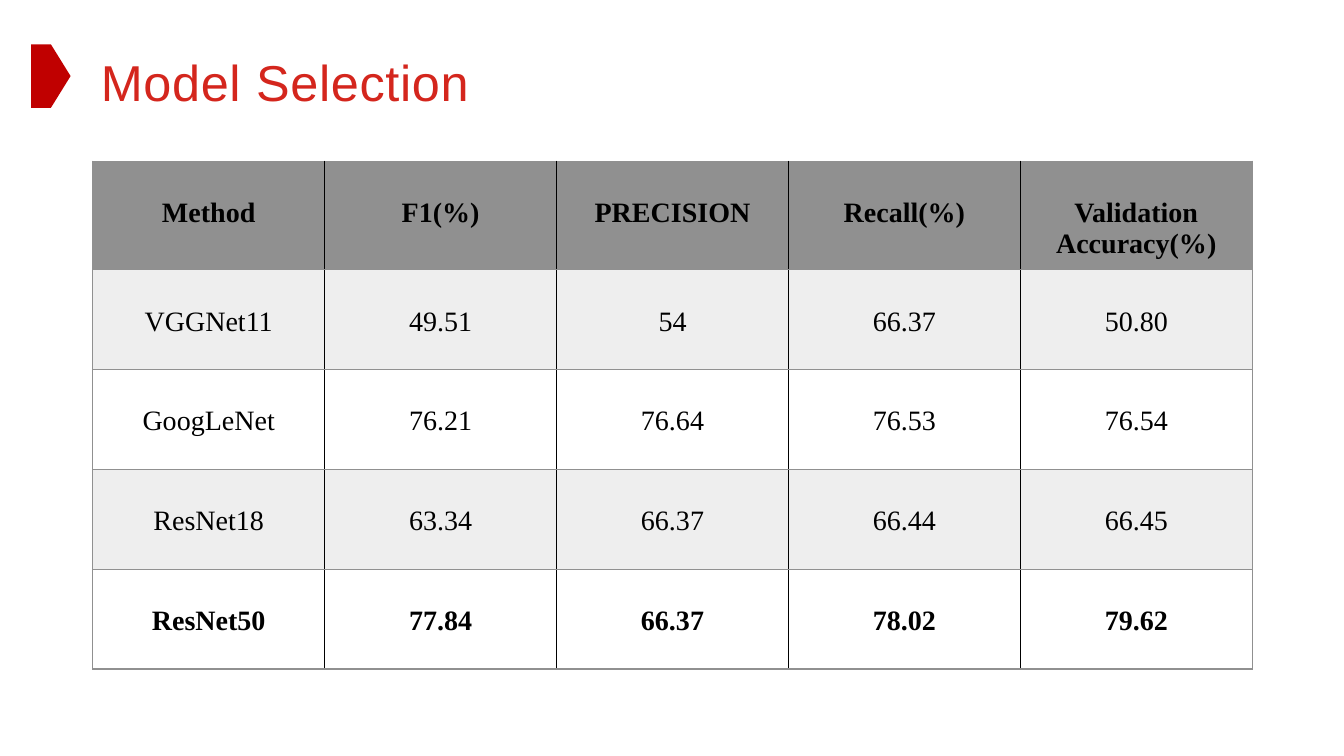
from lxml import etree
from pptx import Presentation
from pptx import util as u
from pptx.dml.color import RGBColor
from pptx.enum import shapes, text
from pptx.oxml import ns

BLACK = RGBColor(0x00, 0x00, 0x00)
WHITE = RGBColor(0xFF, 0xFF, 0xFF)
GREY = RGBColor(0x90, 0x90, 0x90)
PALE = RGBColor(0xEE, 0xEE, 0xEE)
RED = RGBColor(0xD4, 0x26, 0x1D)
DARK_RED = RGBColor(0xC0, 0x00, 0x00)

RESULTS = [
    ["Method", "F1(%)", "PRECISION", "Recall(%)", "Validation Accuracy(%)"],
    ["VGGNet11", "49.51", "54", "66.37", "50.80"],
    ["GoogLeNet", "76.21", "76.64", "76.53", "76.54"],
    ["ResNet18", "63.34", "66.37", "66.44", "66.45"],
    ["ResNet50", "77.84", "66.37", "78.02", "79.62"],
]
ROWS, COLUMNS = len(RESULTS), len(RESULTS[0])
LEFT, COLUMN_WIDTH, ROW_HEIGHT = 0.92, 2.3, 0.99


def write(frame, content, font="Times New Roman", size=20, color=BLACK,
          bold=False, align=text.PP_ALIGN.CENTER):
    frame.word_wrap = True
    paragraph = frame.paragraphs[0]
    paragraph.alignment = align
    run = paragraph.add_run()
    run.text = content
    run.font.name = font
    run.font.size = u.Pt(size)
    run.font.bold = bold
    run.font.color.rgb = color
    return paragraph


def add_border(cell, side, color):
    line = etree.SubElement(cell._tc.get_or_add_tcPr(), ns.qn("a:ln" + side), w=str(u.Pt(1)))
    fill = etree.SubElement(line, ns.qn("a:solidFill"))
    etree.SubElement(fill, ns.qn("a:srgbClr"), val=str(color))


presentation = Presentation()
presentation.slide_width = u.Inches(13.33)
presentation.slide_height = u.Inches(7.5)
slide = presentation.slides.add_slide(presentation.slide_layouts[6])

title = slide.shapes.add_textbox(u.Inches(LEFT), u.Inches(0.21), u.Inches(12), u.Inches(1.36))
frame = title.text_frame
frame.vertical_anchor = text.MSO_ANCHOR.MIDDLE
frame.margin_left = frame.margin_right = u.Inches(0.08)
frame.margin_top, frame.margin_bottom = u.Inches(0.04), u.Inches(0.12)
paragraph = write(frame, "Model Selection", font="Arial", size=36, color=RED,
                  align=text.PP_ALIGN.LEFT)
paragraph.line_spacing = 0.9
paragraph.space_after = u.Pt(8)
paragraph.runs[0].font._element.set("spc", "50")

marker = slide.shapes.add_shape(shapes.MSO_SHAPE.PENTAGON, u.Inches(0.31), u.Inches(0.44),
                                u.Inches(0.39), u.Inches(0.63))
marker.shadow.inherit = False
marker.fill.solid()
marker.fill.fore_color.rgb = DARK_RED
marker.line.fill.background()

table = slide.shapes.add_table(ROWS, COLUMNS, u.Inches(LEFT), u.Inches(1.6),
                               u.Inches(COLUMNS * COLUMN_WIDTH),
                               u.Inches(ROWS * ROW_HEIGHT)).table
for column in table.columns:
    column.width = u.Inches(COLUMN_WIDTH)
for row_index, values in enumerate(RESULTS):
    table.rows[row_index].height = u.Inches(ROW_HEIGHT)
    for column_index, value in enumerate(values):
        cell = table.cell(row_index, column_index)
        cell.margin_top = u.Inches(0.36)
        cell.margin_bottom = u.Inches(0.05)
        write(cell.text_frame, value, bold=row_index in (0, ROWS - 1))
        add_border(cell, "L", GREY if column_index == 0 else BLACK)
        add_border(cell, "R", GREY if column_index == COLUMNS - 1 else BLACK)
        add_border(cell, "T", GREY)
        add_border(cell, "B", GREY)
        cell.fill.solid()
        cell.fill.fore_color.rgb = GREY if row_index == 0 else PALE if row_index % 2 else WHITE

presentation.save("out.pptx")
